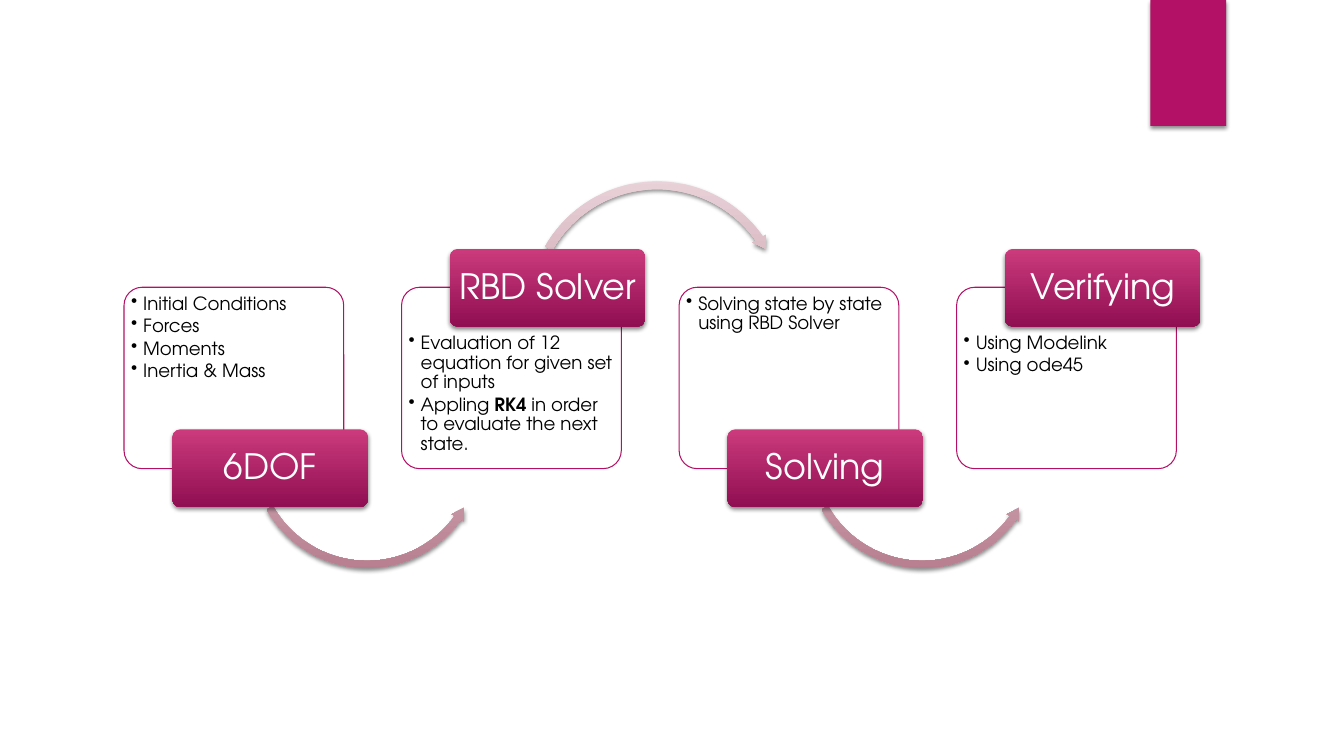
from lxml.etree import SubElement
from pptx import Presentation
from pptx.dml.color import RGBColor as RGB
from pptx.enum.shapes import MSO_SHAPE as SHAPE
from pptx.enum.text import MSO_ANCHOR as ANCHOR, PP_ALIGN as ALIGN
from pptx.oxml.ns import qn
from pptx.util import Inches, Pt

COLORS = {
    "accent": "B31166", "white": "FFFFFF", "black": "000000",
    "label_top": "CB3B7C", "label_end": "900E52",
    "arrow_top": "E9D2D9", "arrow_end": "B77E8F",
}
BODY = {"size": Pt(13), "color": "black"}
TITLE = {"size": Pt(25), "color": "white"}
LEFT, PITCH = 9.23, 20.65
BOX_Y, BOX_W, BOX_H = 38, 16.35, 24
ARROWS = {
    "under": (SHAPE.LEFT_CIRCULAR_ARROW, (9.23, 44.13, 17.7, 31.47),
              (0.03, 3.61, 21.37, 90.25, 0.03)),
    "over": (SHAPE.CIRCULAR_ARROW, (9.15, 23.47, 19.73, 35.07),
             (0.03, 3.21, 195.04, 125.76, 0.03)),
}
STAGES = [
    ("6DOF", "under", [["Initial Conditions"], ["Forces"], ["Moments"],
                       ["Inertia & Mass"]]),
    ("RBD Solver", "over", [
        ["Evaluation of 12 equation for given set of inputs"],
        ["Appling ", ("RK4", True), " in order to evaluate the next state."]]),
    ("Solving", "under", [["Solving state by state using RBD Solver"]]),
    ("Verifying", "over", [["Using Modelink"], ["Using ode45"]]),
]


def rgb(name):
    return RGB.from_string(COLORS[name])


class Deck:
    font = "TeX Gyre Adventor"

    def __init__(self):
        self.prs = Presentation()
        self.prs.slide_width, self.prs.slide_height = Inches(13.33), Inches(7.5)
        self.slide = self.prs.slides.add_slide(self.prs.slide_layouts[6])

    def place(self, x, y, w, h):
        sw, sh = self.prs.slide_width, self.prs.slide_height
        return [int(v * size / 100) for v, size in zip((x, y, w, h), (sw, sh) * 2)]

    def shape(self, kind, at, fill, adj=(), line=None, shadow=True):
        sp = self.slide.shapes.add_shape(kind, *self.place(*at))
        for i, value in enumerate(adj):
            sp.adjustments[i] = value
        if isinstance(fill, tuple):
            sp.fill.gradient()
            sp.fill.gradient_angle = 270
            for stop, name in zip(sp.fill.gradient_stops, fill):
                stop.color.rgb = rgb(name)
        else:
            sp.fill.solid()
            sp.fill.fore_color.rgb = rgb(fill)
        if line:
            sp.line.color.rgb = rgb(line)
            sp.line.width = Pt(0.75)
        else:
            sp.line.fill.background()
        sp.shadow.inherit = False
        if shadow:
            self.drop_shadow(sp)
        return sp

    def drop_shadow(self, sp):
        effects = sp._element.spPr.find(qn("a:effectLst"))
        outer = SubElement(effects, qn("a:outerShdw"), blurRad=str(Pt(3)),
                           dist=str(Pt(2)), dir="5400000", rotWithShape="0")
        color = SubElement(outer, qn("a:srgbClr"), val=COLORS["black"])
        SubElement(color, qn("a:alpha"), val="45000")

    def frame(self, sp, inset_x, inset_y, anchor):
        tf = sp.text_frame
        fmt = {"word_wrap": True, "vertical_anchor": anchor,
               "margin_left": Inches(inset_x), "margin_right": Inches(inset_x),
               "margin_top": Inches(inset_y), "margin_bottom": Inches(inset_y)}
        for name, value in fmt.items():
            setattr(tf, name, value)
        return tf

    def run(self, p, text, style, bold=False):
        r = p.add_run()
        r.text = text
        for name, value in {"name": self.font, "size": style["size"], "bold": bold}.items():
            setattr(r.font, name, value)
        r.font.color.rgb = rgb(style["color"])

    def label(self, text, at):
        sp = self.shape(SHAPE.ROUNDED_RECTANGLE, at, ("label_top", "label_end"), (0.1,))
        p = self.frame(sp, 0.05, 0.03, ANCHOR.MIDDLE).paragraphs[0]
        p.alignment, p.line_spacing = ALIGN.CENTER, 0.9
        self.run(p, text, TITLE)

    def bullets(self, items, at):
        sp = self.slide.shapes.add_textbox(*self.place(*at))
        tf = self.frame(sp, 0.03, 0.03, ANCHOR.TOP)
        for i, parts in enumerate(items):
            p = tf.add_paragraph() if i else tf.paragraphs[0]
            p.line_spacing, p.space_after = 0.9, Pt(2)
            pPr = p._p.get_or_add_pPr()
            pPr.set("marL", str(Inches(0.12)))
            pPr.set("indent", str(Inches(-0.12)))
            SubElement(pPr, qn("a:buChar"), char="•")
            for part in parts:
                text, bold = part if isinstance(part, tuple) else (part, False)
                self.run(p, text, BODY, bold)

    def arrow(self, x, side):
        kind, (dx, y, w, h), adj = ARROWS[side]
        self.shape(kind, (x + dx, y, w, h), ("arrow_top", "arrow_end"), adj)

    def stage(self, i, title, side, items):
        x = LEFT + i * PITCH
        text_y, label_y = (38.53, 56.8) if side == "under" else (43.73, 32.93)
        self.shape(SHAPE.ROUNDED_RECTANGLE, (x, BOX_Y, BOX_W, BOX_H), "white",
                   (0.1,), line="accent", shadow=False)
        self.bullets(items, (x + 0.3, text_y, 15.75, 17.73))
        if i < len(STAGES) - 1:
            self.arrow(x, side)
        self.label(title, (x + 3.6, label_y, 14.55, 10.27))


def main():
    deck = Deck()
    deck.shape(SHAPE.RECTANGLE, (85.6, 0, 5.63, 16.67), "accent")
    for i, stage in enumerate(STAGES):
        deck.stage(i, *stage)
    deck.prs.save("out.pptx")


if __name__ == "__main__":
    main()
